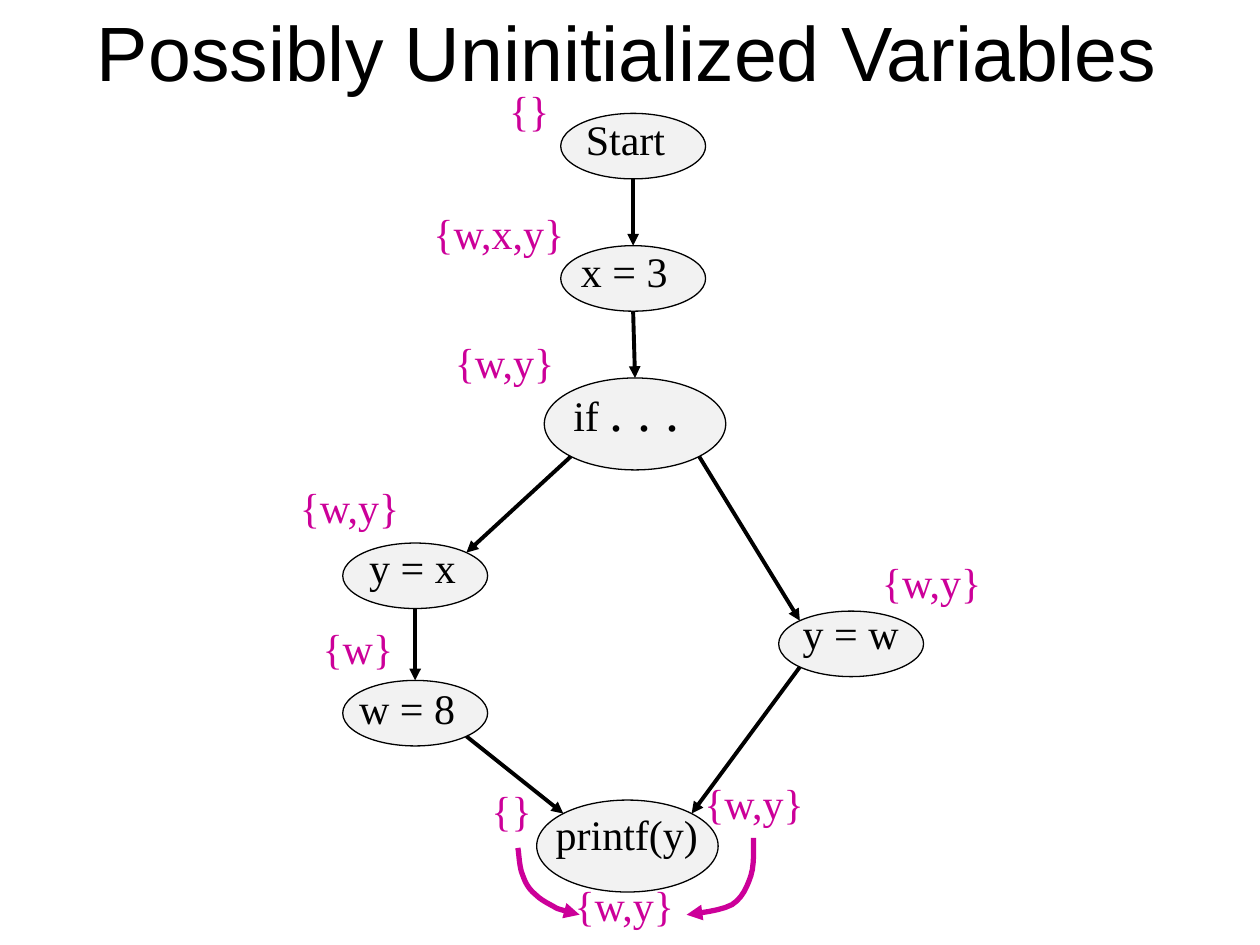
import math

import pptx
import pptx.dml.color
import pptx.enum.shapes
import pptx.enum.text
import pptx.oxml
import pptx.oxml.ns
import pptx.util
from pptx.util import Inches

COLORS = {"text": "000000", "node": "F2F2F2", "set": "CC0099"}
BODY_FONT = "Times New Roman"
SMALL = (1.15, 0.52)
LARGE = (1.44, 0.73)

# name: ellipse left, top, size; label box; label runs (text, points)
NODES = {
    "start": (4.45, 0.9, SMALL, (4.61, 0.9, 0.8, 0.47), [("Start", 24)]),
    "x3": (4.45, 1.95, SMALL, (4.57, 1.95, 0.86, 0.47), [("x = 3", 24)]),
    "if": (4.32, 3, LARGE, (4.51, 2.98, 1.01, 0.61), [("if ", 24), (". . .", 32)]),
    "yx": (2.72, 4.31, SMALL, (2.89, 4.3, 0.86, 0.47), [("y = x", 24)]),
    "yw": (6.18, 4.85, SMALL, (6.33, 4.82, 0.93, 0.47), [("y = w", 24)]),
    "w8": (2.72, 5.4, SMALL, (2.81, 5.42, 0.93, 0.47), [("w = 8", 24)]),
    "printf": (4.26, 6.35, LARGE, (4.37, 6.42, 1.43, 0.47), [("printf(y)", 24)]),
}

# Angles on the ellipse, clockwise from the right
RIM = {"bottom": 90, "top": 270, "lower right": 45, "lower left": 135,
       "upper left": 225, "upper right": 315}

EDGES = [
    ("start", "bottom", "x3", "top"),
    ("x3", "bottom", "if", "top"),
    ("if", "lower left", "yx", "upper right"),
    ("if", "lower right", "yw", "upper left"),
    ("yx", "bottom", "w8", "top"),
    ("w8", "lower right", "printf", "upper left"),
    ("yw", "lower left", "printf", "upper right"),
]

SET_WIDTHS = {"{}": 0.49, "{w}": 0.73, "{w,y}": 0.96, "{w,x,y}": 1.21}
SETS = [
    ("{w,x,y}", 3.4, 1.65), ("{w,y}", 3.57, 2.67), ("{w,y}", 6.96, 4.42),
    ("{w,y}", 2.34, 3.82), ("{w}", 2.52, 4.94), ("{w,y}", 5.55, 6.17),
    ("{}", 3.86, 6.23), ("{w,y}", 4.52, 6.98), ("{}", 4, 0.67),
]

# Start point, then cubic segments (two controls and an end)
MERGE_CURVES = [
    ((4.11, 6.73), [((4.12, 6.77), (4.12, 6.89), (4.15, 6.95)),
                    ((4.17, 7.01), (4.2, 7.06), (4.25, 7.1)),
                    ((4.3, 7.15), (4.37, 7.18), (4.42, 7.21)),
                    ((4.48, 7.23), (4.56, 7.25), (4.6, 7.26))]),
    ((5.98, 6.65), [((5.98, 6.7), (5.99, 6.86), (5.96, 6.95)),
                    ((5.93, 7.04), (5.89, 7.13), (5.81, 7.18)),
                    ((5.72, 7.23), (5.52, 7.25), (5.45, 7.26))]),
]


def rgb(name):
    return pptx.dml.color.RGBColor.from_string(COLORS[name])


def set_line(line, color, width, arrow=False):
    line.color.rgb = rgb(color)
    line.width = pptx.util.Pt(width)
    if arrow:
        ln = line._get_or_add_ln()
        ln.append(pptx.oxml.parse_xml(
            f'<a:tailEnd {pptx.oxml.ns.nsdecls("a")} type="triangle"/>'))


def add_text(shapes, box, runs, color, wrap=False):
    sp = shapes.add_textbox(*map(Inches, box))
    tf = sp.text_frame
    tf.word_wrap = wrap
    if not wrap:
        tf.auto_size = pptx.enum.text.MSO_AUTO_SIZE.SHAPE_TO_FIT_TEXT
    tf.margin_left = tf.margin_top = tf.margin_bottom = 0
    tf.margin_right = Inches(0.04)
    p = tf.paragraphs[0]
    p._p.get_or_add_pPr().set("marL", str(Inches(0.04)))
    p.font.name = BODY_FONT
    p.font.color.rgb = rgb(color)
    for text, size in runs:
        r = p.add_run()
        r.text = text
        r.font.size = pptx.util.Pt(size)
    return sp


def add_title(s, text):
    sp = add_text(s.shapes, (0, 0, 10, 0.81), [(text, 44)], "text", wrap=True)
    sp.fill.solid()
    sp.fill.fore_color.rgb = pptx.dml.color.RGBColor(255, 255, 255)
    tf = sp.text_frame
    tf.vertical_anchor = pptx.enum.text.MSO_ANCHOR.MIDDLE
    tf.margin_left = tf.margin_top = tf.margin_bottom = Inches(0.06)
    tf.margin_right = Inches(0.14)
    p = tf.paragraphs[0]
    p.alignment = pptx.enum.text.PP_ALIGN.CENTER
    p.font.name = "Arial"


def add_node(s, name):
    left, top, size, label_box, runs = NODES[name]
    group = s.shapes.add_group_shape()
    sp = group.shapes.add_shape(pptx.enum.shapes.MSO_SHAPE.OVAL,
                                *map(Inches, (left, top, *size)))
    sp.shadow.inherit = False
    sp.fill.solid()
    sp.fill.fore_color.rgb = rgb("node")
    set_line(sp.line, "text", 0.75)
    add_text(group.shapes, label_box, runs, "text", wrap=name == "printf")


def rim_point(name, side):
    left, top, (width, height) = NODES[name][:3]
    angle = math.radians(RIM[side])
    return (Inches(left + width / 2 * (1 + math.cos(angle))),
            Inches(top + height / 2 * (1 + math.sin(angle))))


def add_edge(s, source, source_side, target, target_side):
    line = s.shapes.add_connector(pptx.enum.shapes.MSO_CONNECTOR.STRAIGHT,
                                  *rim_point(source, source_side),
                                  *rim_point(target, target_side))
    set_line(line.line, "text", 2.25, arrow=True)
    line._element.spPr.append(pptx.oxml.parse_xml(
        f'<a:effectLst {pptx.oxml.ns.nsdecls("a")}/>'))


def curve_points(start, segments, steps=6):
    for c1, c2, end in segments:
        for i in range(1, steps + 1):
            t = i / steps
            u = 1 - t
            yield tuple(Inches(u**3 * a + 3 * u * u * t * b + 3 * u * t * t * c + t**3 * d)
                        for a, b, c, d in zip(start, c1, c2, end))
        start = end


def add_curve(s, start, segments):
    builder = s.shapes.build_freeform(*map(Inches, start))
    builder.add_line_segments(curve_points(start, segments), close=False)
    sp = builder.convert_to_shape()
    sp.shadow.inherit = False
    sp.fill.background()
    set_line(sp.line, "set", 3, arrow=True)


def main():
    prs = pptx.Presentation()
    prs.slide_width, prs.slide_height = Inches(10), Inches(7.5)
    s = prs.slides.add_slide(prs.slide_layouts[6])

    add_title(s, "Possibly Uninitialized Variables")

    # Control-flow graph
    for name in NODES:
        add_node(s, name)
    for edge in EDGES:
        add_edge(s, *edge)

    # Sets of possibly uninitialized variables
    for text, left, top in SETS:
        add_text(s.shapes, (left, top, SET_WIDTHS[text], 0.47), [(text, 24)], "set")

    # Both branches merge into the final set
    for start, segments in MERGE_CURVES:
        add_curve(s, start, segments)

    prs.save("out.pptx")


if __name__ == "__main__":
    main()
